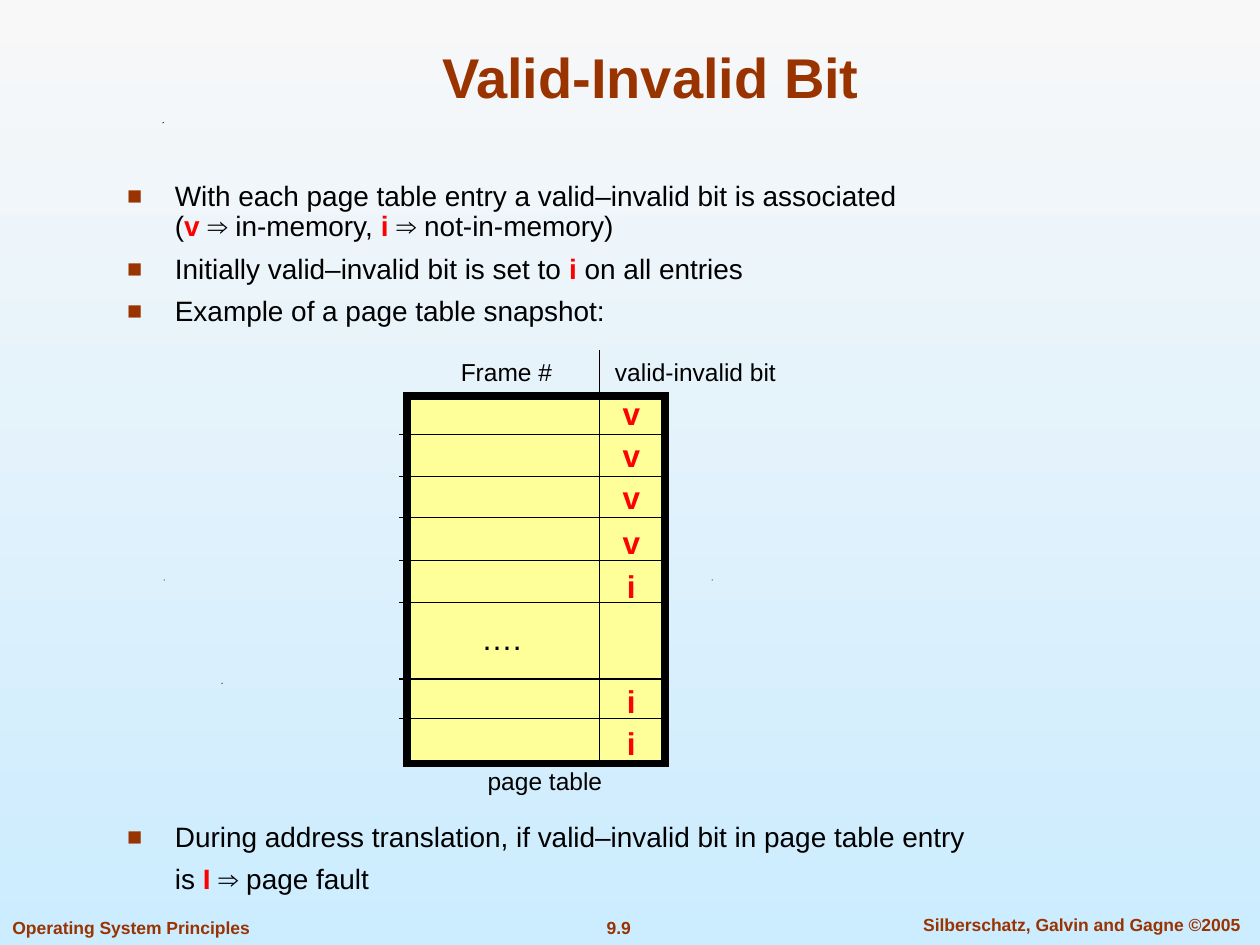
import pptx
import pptx.util
import pptx.dml.color
import pptx.enum.shapes
import pptx.enum.text
import pptx.oxml
import pptx.oxml.ns
from pptx.util import Inches

COLORS = {"rust": "993300", "red": "FF0000", "black": "000000",
          "yellow": "FFFF99", "top": "F8F8F8", "bottom": "CCECFF"}
ALIGN = pptx.enum.text.PP_ALIGN
ANCHOR = pptx.enum.text.MSO_ANCHOR
NAMESPACE = pptx.oxml.ns.nsdecls("a")


def rgb(name):
    return pptx.dml.color.RGBColor.from_string(COLORS[name])


def add_span(para, text, size, color="black", bold=False):
    span = para.add_run()
    span.text = text
    span.font.name = "Arial"
    span.font.size = pptx.util.Pt(size)
    span.font.bold = bold
    span.font.color.rgb = rgb(color)


deck = pptx.Presentation()
deck.slide_width, deck.slide_height = Inches(10), Inches(7.5)
page = deck.slides.add_slide(deck.slide_layouts[5])

backdrop = page.background.fill
backdrop.gradient()
backdrop.gradient_angle = 270
for stop, position, name in zip(backdrop.gradient_stops, (0, 1), ("top", "bottom")):
    stop.position = position
    stop.color.rgb = rgb(name)

for x, y in [(1.76, 5.42), (1.3, 4.6), (5.65, 4.6), (1.29, 0.97)]:
    builder = page.shapes.build_freeform(Inches(x), Inches(y + 0.01), scale=1.0)
    builder.add_line_segments([(Inches(x + 0.01), Inches(y)),
                               (Inches(x), Inches(y))], close=True)
    speck = builder.convert_to_shape()
    speck.fill.solid()
    speck.fill.fore_color.rgb = rgb("black")
    speck.line.fill.background()
    speck.shadow.inherit = False

title = page.shapes.title
title.left, title.top = Inches(0.75), Inches(0.25)
title.width, title.height = Inches(8.83), Inches(0.67)
title.text_frame.auto_size = pptx.enum.text.MSO_AUTO_SIZE.NONE
title.text_frame.vertical_anchor = ANCHOR.BOTTOM
title_para = title.text_frame.paragraphs[0]
title_para.alignment = ALIGN.CENTER
add_span(title_para, "Valid-Invalid Bit", 32, "rust", True)

bullets = [
    (True, 7, ["With each page table entry a valid–invalid bit is associated", "\n",
               "(", "*v ", "⇒ in-memory, ", "*i ", "⇒ not-in-memory)"]),
    (True, 7, ["Initially valid–invalid bit is set to", "* i ", "on all entries"]),
    (True, 7, ["Example of a page table snapshot:"]),
    (True, 283, ["During address translation, if valid–invalid bit in page table entry"]),
    (False, 7, ["is", "* I ", "⇒ page fault"]),
]
body = page.shapes.add_textbox(Inches(0.91), Inches(1.4), Inches(7.92), Inches(6.1))
body.text_frame.word_wrap = True
for index, (bulleted, gap, parts) in enumerate(bullets):
    para = body.text_frame.paragraphs[0] if index == 0 else body.text_frame.add_paragraph()
    para.line_spacing = 0.9
    para.space_before = pptx.util.Pt(gap)
    for part in parts:
        if part == "\n":
            para.add_line_break()
        elif part.startswith("*"):
            add_span(para, part[1:], 16, "red", True)
        else:
            add_span(para, part, 16)
    settings = para._p.get_or_add_pPr()
    settings.set("marL", str(Inches(0.38)))
    settings.set("indent", str(Inches(-0.38) if bulleted else 0))
    if bulleted:
        for mark in (f'<a:buClr {NAMESPACE}><a:srgbClr val="{COLORS["rust"]}"/></a:buClr>',
                     f'<a:buSzPct {NAMESPACE} val="90000"/>',
                     f'<a:buFont {NAMESPACE} typeface="Arial"/>',
                     f'<a:buChar {NAMESPACE} char="■"/>'):
            settings.append(pptx.oxml.parse_xml(mark))

frame = page.shapes.add_shape(pptx.enum.shapes.MSO_SHAPE.RECTANGLE,
                              Inches(3.23), Inches(3.14), Inches(2.05), Inches(2.92))
frame.shadow.inherit = False
frame.fill.solid()
frame.fill.fore_color.rgb = rgb("yellow")
frame.line.color.rgb = rgb("black")
frame.line.width = pptx.util.Pt(4.5)
frame.line._get_or_add_ln().append(
    pptx.oxml.parse_xml(f'<a:miter {NAMESPACE} lim="800000"/>'))

row_lines = [(3.17, y, 5.26, y) for y in (3.45, 3.78, 4.11, 4.45, 4.78, 5.39, 5.7)]
for ends in row_lines + [(4.76, 2.78, 4.76, 6.03)]:
    rule = page.shapes.add_connector(pptx.enum.shapes.MSO_CONNECTOR.STRAIGHT,
                                     *[Inches(value) for value in ends])
    rule.line.color.rgb = rgb("black")
    rule.line.width = pptx.util.Pt(0.75)
    rule._element.spPr.append(pptx.oxml.parse_xml(f'<a:effectLst {NAMESPACE}/>'))

valid_bits = [("v", 3.08), ("v", 3.41), ("v", 3.74), ("v", 4.1),
              ("i", 4.45), ("i", 5.36), ("i", 5.7)]
labels = [(bit, 4.84, top, 0.34, 0.4, 18, "red", True) for bit, top in valid_bits]
labels += [
    ("….", 3.72, 4.86, 0.52, 0.4, 18, "black", False),
    ("Frame #", 3.56, 2.78, 0.92, 0.34, 14, "black", False),
    ("valid-invalid bit", 4.78, 2.78, 1.48, 0.34, 14, "black", False),
    ("page table", 3.77, 6.03, 1.11, 0.34, 14, "black", False),
    ("Operating System Principles", 0, 7.23, 2.08, 0.27, 10, "rust", True),
    ("9.9", 4.42, 7.23, 0.98, 0.27, 10, "rust", True),
    ("Silberschatz, Galvin and Gagne ©2005", 7.1, 7.2, 2.97, 0.27, 10, "rust", True),
]
for text, left, top, width, height, size, color, bold in labels:
    box = page.shapes.add_textbox(Inches(left), Inches(top), Inches(width), Inches(height))
    box.text_frame.word_wrap = False
    box.text_frame.margin_left = box.text_frame.margin_right = Inches(0.02)
    box.text_frame.vertical_anchor = ANCHOR.MIDDLE
    para = box.text_frame.paragraphs[0]
    para.alignment = ALIGN.CENTER
    add_span(para, text, size, color, bold)

deck.save("out.pptx")
